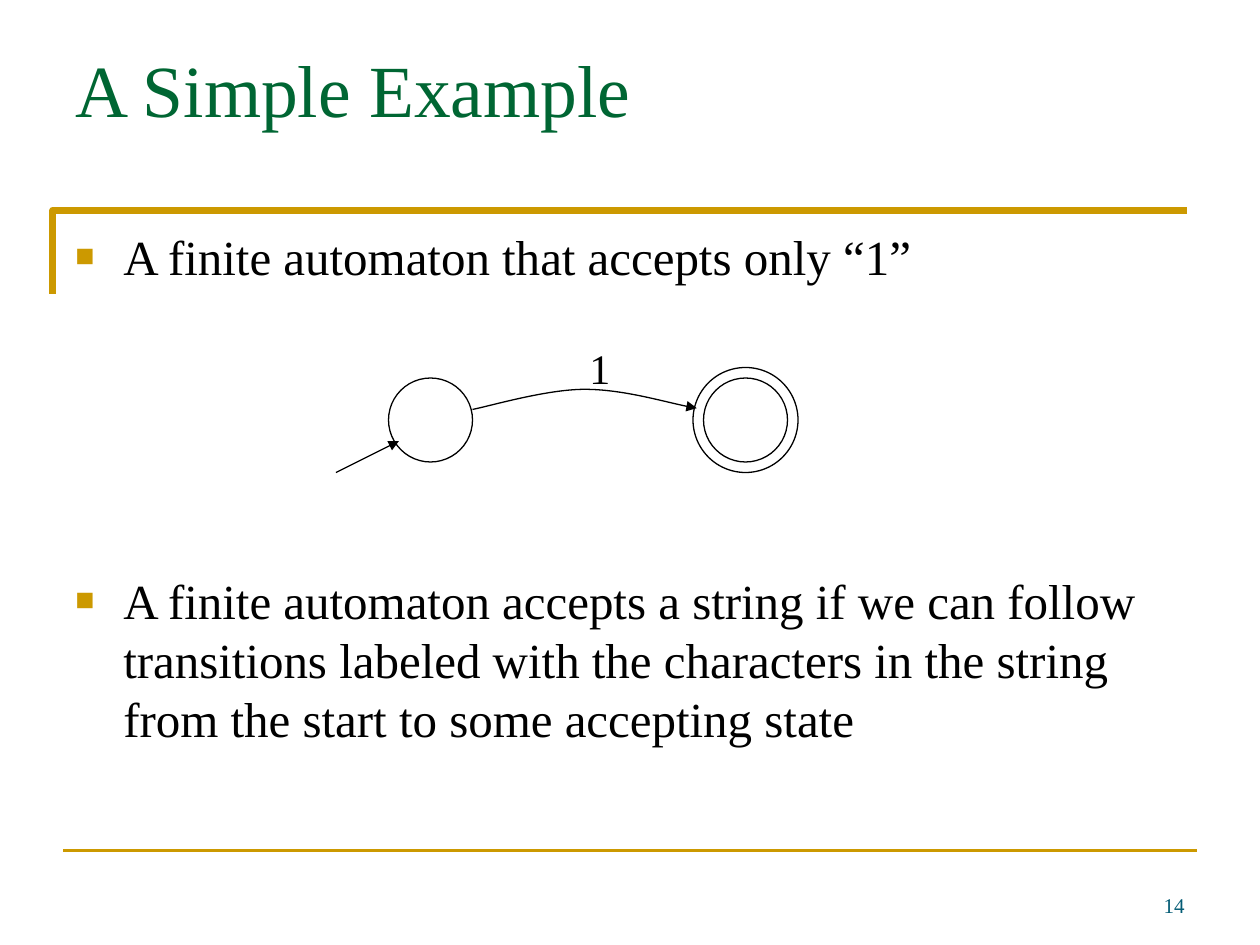
from dataclasses import dataclass

from lxml.etree import SubElement
from pptx import Presentation
from pptx.dml.color import RGBColor as RGB
from pptx.enum.shapes import MSO_CONNECTOR as CONNECTOR, MSO_SHAPE as SHAPE
from pptx.enum.text import MSO_ANCHOR as ANCHOR, PP_ALIGN as ALIGN
from pptx.oxml.ns import qn
from pptx.util import Inches, Pt

# The diagram sits on a grid of 1/12 inch cells.
CELL = 1 / 12


@dataclass(frozen=True)
class Theme:
    font: str = "Times New Roman"
    ink: str = "000000"
    title: str = "006633"
    accent: str = "CC9900"
    number: str = "045C75"
    title_size: int = 42
    body_size: int = 28
    label_size: int = 24
    number_size: int = 12
    frame_line: float = 4
    rule_line: float = 2
    thin_line: float = 0.75


THEME = Theme()


def add_bullet(p, indent=0.38):
    pPr = p._p.get_or_add_pPr()
    pPr.set("marL", str(Inches(indent)))
    pPr.set("indent", str(-Inches(indent)))
    color = SubElement(pPr, qn("a:buClr"))
    SubElement(color, qn("a:srgbClr"), val=THEME.accent)
    SubElement(pPr, qn("a:buSzPct"), val="65000")
    SubElement(pPr, qn("a:buFont"), typeface=THEME.font)
    SubElement(pPr, qn("a:buChar"), char="■")


def add_text(slide, box, *paragraphs, size, color=THEME.ink, align=ALIGN.LEFT,
             anchor=ANCHOR.TOP, wrap=True, bullets=False, gap=0):
    """Add a text box; gap is the space in points between paragraphs."""
    tf = slide.shapes.add_textbox(*map(Inches, box)).text_frame
    tf.word_wrap = wrap
    tf.vertical_anchor = anchor
    for i, text in enumerate(paragraphs):
        p = tf.add_paragraph() if i else tf.paragraphs[0]
        p.alignment = align
        if i:
            p.space_before = Pt(gap)
        if bullets:
            add_bullet(p)
        r = p.add_run()
        r.text = text
        r.font.name = THEME.font
        r.font.size = Pt(size)
        r.font.color.rgb = RGB.from_string(color)


def style_line(s, color=THEME.ink, width=THEME.thin_line, arrow=False):
    s.line.color.rgb = RGB.from_string(color)
    s.line.width = Pt(width)
    if arrow:
        SubElement(s.line._get_or_add_ln(), qn("a:tailEnd"), type="triangle")


def add_line(slide, start, end, **style):
    s = slide.shapes.add_connector(CONNECTOR.STRAIGHT, *map(Inches, (*start, *end)))
    style_line(s, **style)
    SubElement(s._element.spPr, qn("a:effectLst"))


def add_path(slide, points, curved=False, **style):
    """Add an open path; if curved, each three points after the first form a Bézier."""
    start, *rest = [(Inches(x), Inches(y)) for x, y in points]
    builder = slide.shapes.build_freeform(*start)
    builder.add_line_segments(rest, close=False)
    s = builder.convert_to_shape()
    s.shadow.inherit = False
    s.fill.background()
    style_line(s, **style)
    if curved:
        path = s._element.find(".//" + qn("a:path"))
        segments = path.findall(qn("a:lnTo"))
        for i in range(0, len(segments), 3):
            curve = SubElement(path, qn("a:cubicBezTo"))
            for segment in segments[i:i + 3]:
                curve.append(segment[0])
                path.remove(segment)


def add_circle(slide, col, row, radius):
    box = (col - radius, row - radius, 2 * radius, 2 * radius)
    s = slide.shapes.add_shape(SHAPE.OVAL, *(Inches(n * CELL) for n in box))
    s.shadow.inherit = False
    s.fill.background()
    style_line(s)


def add_frame(slide):
    add_path(slide, [(0.42, 2.33), (0.42, 1.67), (9.42, 1.67)],
             color=THEME.accent, width=THEME.frame_line)
    add_line(slide, (0.5, 6.75), (9.5, 6.75),
             color=THEME.accent, width=THEME.rule_line)
    add_text(slide, (7.17, 6.83, 2.33, 0.5), "14", size=THEME.number_size,
             color=THEME.number, align=ALIGN.RIGHT, anchor=ANCHOR.BOTTOM)


def add_automaton(slide):
    start_col, accept_col, row = 41, 71, 40
    add_path(slide, [(3.75, 3.25), (3.9, 3.22), (4.34, 3.09), (4.64, 3.09),
                     (4.94, 3.09), (5.34, 3.21), (5.53, 3.24)],
             curved=True, arrow=True)
    add_text(slide, (4.58, 2.67, 0.37, 0.5), "1", size=THEME.label_size, wrap=False)
    for col, radius in ((accept_col, 4), (accept_col, 5), (start_col, 4)):
        add_circle(slide, col, row, radius)
    add_line(slide, (32 * CELL, 45 * CELL), (38 * CELL, 42 * CELL), arrow=True)


def main():
    prs = Presentation()
    prs.slide_width, prs.slide_height = Inches(10), Inches(7.5)
    slide = prs.slides.add_slide(prs.slide_layouts[6])
    add_frame(slide)
    add_text(slide, (0.5, 0.3, 9, 1.25), "A Simple Example",
             size=THEME.title_size, color=THEME.title)
    add_text(slide, (0.5, 1.75, 9.08, 4.5),
             "A finite automaton that accepts only “1”",
             "A finite automaton accepts a string if we can follow transitions "
             "labeled with the characters in the string from the start to some "
             "accepting state",
             size=THEME.body_size, bullets=True, gap=163)
    add_automaton(slide)
    prs.save("out.pptx")


if __name__ == "__main__":
    main()
